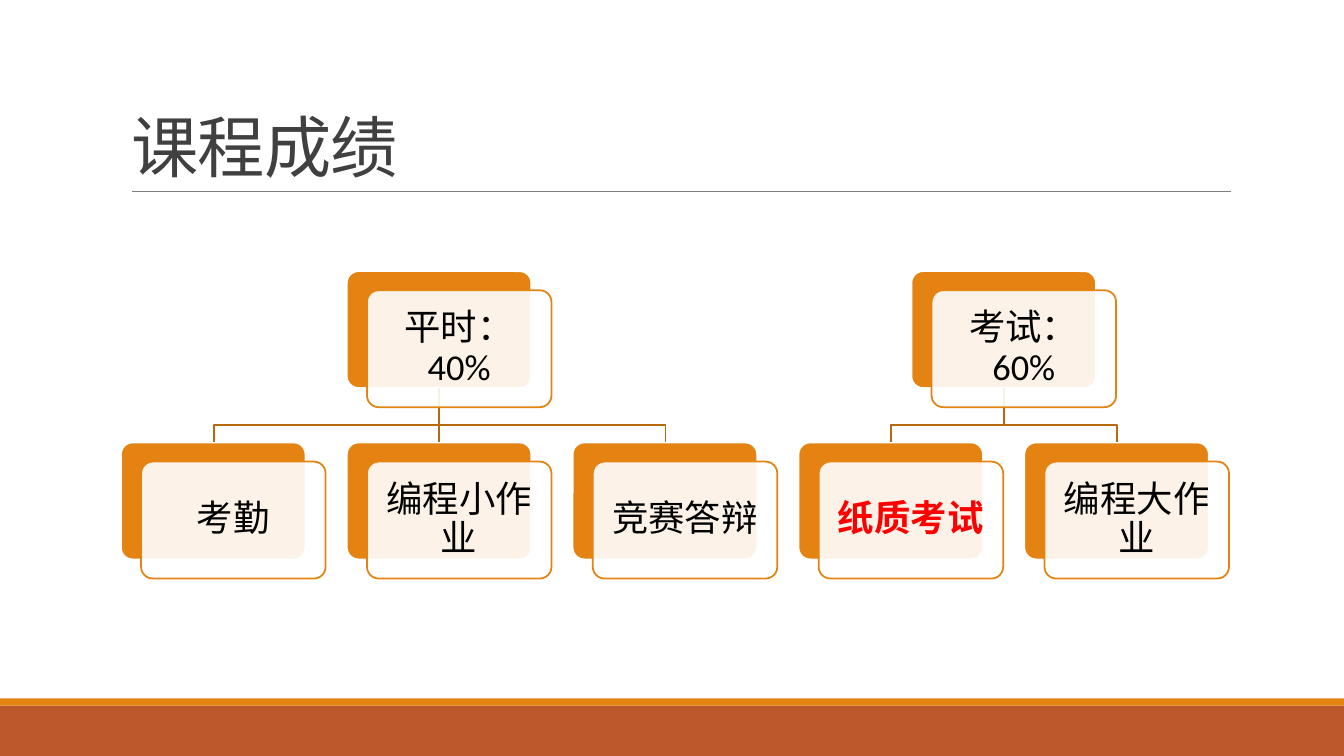
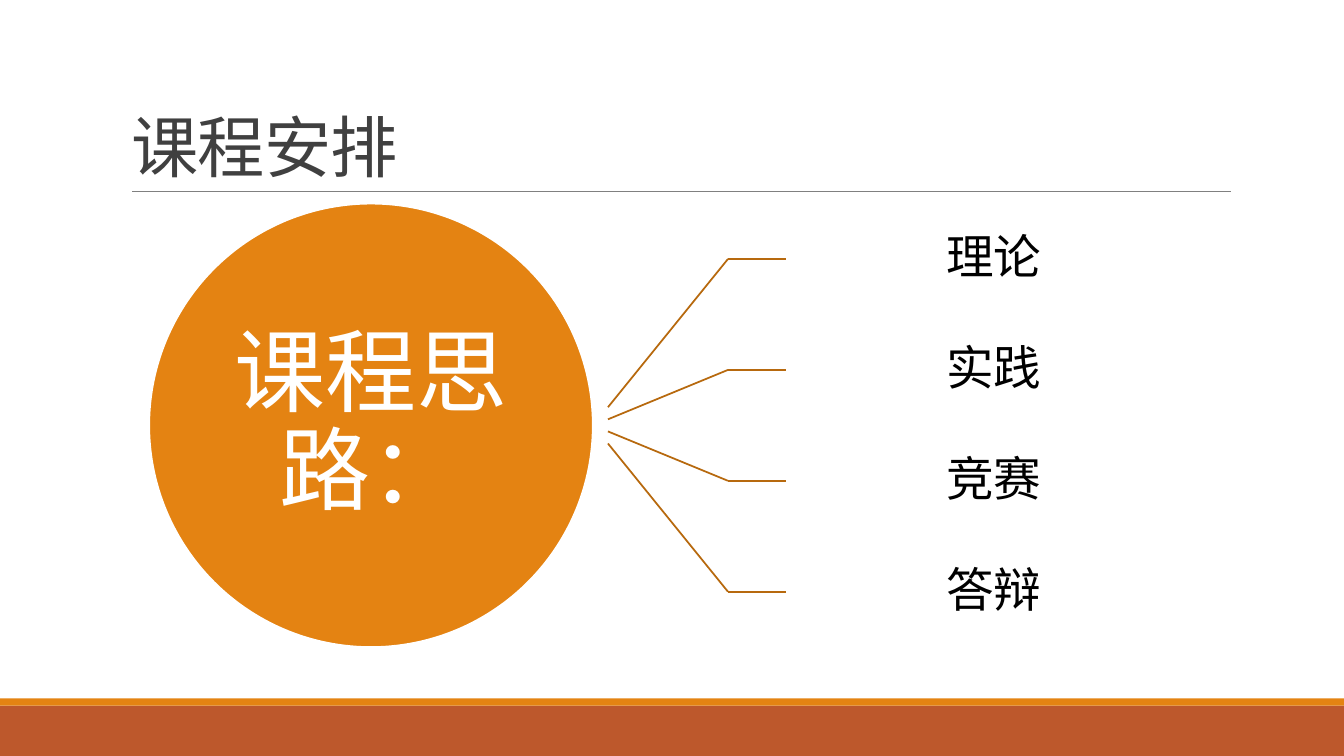
from lxml import etree
from pptx import Presentation
from pptx.dml.color import RGBColor
from pptx.enum.shapes import MSO_CONNECTOR, MSO_SHAPE
from pptx.enum.text import MSO_ANCHOR, MSO_AUTO_SIZE, PP_ALIGN
from pptx.oxml.ns import qn
from pptx.util import Emu, Pt

RECTANGLE, ROUNDED, OVAL = MSO_SHAPE.RECTANGLE, MSO_SHAPE.ROUNDED_RECTANGLE, MSO_SHAPE.OVAL
STRAIGHT = MSO_CONNECTOR.STRAIGHT
LEFT, CENTER = PP_ALIGN.LEFT, PP_ALIGN.CENTER
MIDDLE, BOTTOM = MSO_ANCHOR.MIDDLE, MSO_ANCHOR.BOTTOM
SIDE_TOP, SIDE_LEFT, SIDE_BOTTOM = 0, 1, 2

# Content
GRADES_TITLE = "课程成绩"
GRADES = [
    ("平时：40%", ["考勤", "编程小作业", "竞赛答辩"]),
    ("考试：60%", ["纸质考试", "编程大作业"]),
]
HIGHLIGHTED = "纸质考试"
PLAN_TITLE = "课程安排"
PLAN_HUB = "课程思路："
PLAN_TOPICS = ["理论", "实践", "竞赛", "答辩"]

# Style, lengths in px (100 to the inch)
SCALE = 9144
SLIDE_WIDTH, SLIDE_HEIGHT = 1333, 750
FONT = "Calibri"
ORANGE, RUST, BROWN = "E48312", "BD582C", "B7690E"
WHITE, BLACK, RED, DARK, GRAY = "FFFFFF", "000000", "FF0000", "404040", "808080"
LINE_WIDTH = 1.25

# Grade tree
CARD_WIDTH, CARD_HEIGHT = 183, 116
CARD_SHIFT_X, CARD_SHIFT_Y = 20, 19
TREE_LEFT, COLUMN_STEP = 120, 224
GROUP_TOP, ITEM_TOP, BRANCH_Y = 269, 439, 422

# Topic fan
HUB_LEFT, FAN_TOP, HUB_SIZE = 148, 202, 440
SPOKE_X, SPOKE_TOP, SPOKE_STEP = 603, 404, 12
BEND_X, TOPIC_LEFT, TOPIC_WIDTH = 722, 780, 411


def px(value):
    return Emu(round(value * SCALE))


def color(value):
    return RGBColor.from_string(value)


def set_line(line, line_color, width=LINE_WIDTH):
    line.color.rgb = color(line_color)
    line.width = Pt(width)


def add_box(slide, kind, box, fill, line=None):
    shape = slide.shapes.add_shape(kind, *map(px, box))
    shape.shadow.inherit = False
    shape.fill.solid()
    shape.fill.fore_color.rgb = color(fill)
    if line:
        set_line(shape.line, line)
    else:
        shape.line.fill.background()
    return shape


def add_line(slide, start, end, line_color=BROWN, width=LINE_WIDTH):
    connector = slide.shapes.add_connector(STRAIGHT, *map(px, (*start, *end)))
    set_line(connector.line, line_color, width)
    etree.SubElement(connector.element.spPr, qn("a:effectLst"))
    return connector


def write_text(shape, text, size, text_color, inset=0, align=CENTER,
               anchor=MIDDLE, spacing=0.9, bold=False):
    frame = shape.text_frame
    frame.word_wrap = True
    frame.auto_size = MSO_AUTO_SIZE.NONE
    frame.vertical_anchor = anchor
    frame.margin_left = frame.margin_right = px(inset)
    frame.margin_top = frame.margin_bottom = px(inset)
    paragraph = frame.paragraphs[0]
    paragraph.alignment = align
    paragraph.line_spacing = spacing
    run = paragraph.add_run()
    run.text = text
    run.font.name = FONT
    run.font.size = Pt(size)
    run.font.bold = bold
    run.font.color.rgb = color(text_color)
    return run


def add_titled_slide(presentation, layout, title):
    slide = presentation.slides.add_slide(layout)
    placeholder = slide.shapes.title
    placeholder.left, placeholder.top = px(120), px(31)
    placeholder.width, placeholder.height = px(1100), px(159)
    run = write_text(placeholder, title, 48, DARK, 10, LEFT, BOTTOM, 0.85)
    placeholder.text_frame.margin_bottom = px(5)
    run.font._element.set("spc", "-50")
    return slide


def move_frame_to_layout(slide, layout):
    """Draw the bands and title rule, then hand them to the shared layout."""
    parts = [
        add_box(slide, RECTANGLE, (0, 700, SLIDE_WIDTH, 50), RUST),
        add_box(slide, RECTANGLE, (0, 693, SLIDE_WIDTH, 7), ORANGE),
        add_line(slide, (131, 190), (1221, 190), GRAY, 0.5),
    ]
    for number, part in enumerate(parts):
        part.element.xpath(".//p:cNvPr")[0].set("id", str(100 + number))
        layout.shapes.element.insert(2 + number, part.element)


def add_back_card(slide, left, top):
    card = add_box(slide, ROUNDED, (left, top, CARD_WIDTH, CARD_HEIGHT), ORANGE, WHITE)
    card.adjustments[0] = 0.1
    return card


def add_front_card(slide, left, top, text):
    box = (left + CARD_SHIFT_X, top + CARD_SHIFT_Y, CARD_WIDTH, CARD_HEIGHT)
    card = add_box(slide, ROUNDED, box, WHITE, ORANGE)
    card.adjustments[0] = 0.1
    fill_color = card.element.spPr.find(qn("a:solidFill"))[0]
    etree.SubElement(fill_color, qn("a:alpha"), val="90000")
    marked = text == HIGHLIGHTED
    write_text(card, text, 26, RED if marked else BLACK, 11, bold=marked)


def add_branch(slide, group_left, group_card, item_left, item_card):
    start_x, end_x = group_left + CARD_WIDTH / 2, item_left + CARD_WIDTH / 2
    start_y = GROUP_TOP + CARD_HEIGHT
    if start_x == end_x:
        connector = add_line(slide, (start_x, start_y), (end_x, ITEM_TOP))
        connector.begin_connect(group_card, SIDE_BOTTOM)
        connector.end_connect(item_card, SIDE_TOP)
        return
    builder = slide.shapes.build_freeform(start_x, start_y, SCALE)
    builder.add_line_segments(
        [(start_x, BRANCH_Y), (end_x, BRANCH_Y), (end_x, ITEM_TOP)], close=False)
    elbow = builder.convert_to_shape()
    elbow.shadow.inherit = False
    elbow.fill.background()
    set_line(elbow.line, BROWN)


def add_grade_tree(slide):
    """Stack back cards, then branches, then the translucent front cards."""
    cards, branches, column = [], [], 0
    for group, items in GRADES:
        lefts = [TREE_LEFT + COLUMN_STEP * (column + i) for i in range(len(items))]
        column += len(items)
        group_left = (lefts[0] + lefts[-1]) / 2
        group_card = add_back_card(slide, group_left, GROUP_TOP)
        cards.append((group_left, GROUP_TOP, group))
        for left, item in zip(lefts, items):
            item_card = add_back_card(slide, left, ITEM_TOP)
            cards.append((left, ITEM_TOP, item))
            branches.append((group_left, group_card, left, item_card))
    for branch in branches:
        add_branch(slide, *branch)
    for card in cards:
        add_front_card(slide, *card)


def add_topic_fan(slide):
    hub = add_box(slide, OVAL, (HUB_LEFT, FAN_TOP, HUB_SIZE, HUB_SIZE), ORANGE, WHITE)
    write_text(hub, PLAN_HUB, 65, WHITE)
    row_height = HUB_SIZE / len(PLAN_TOPICS)
    for row, topic in enumerate(PLAN_TOPICS):
        top = FAN_TOP + row * row_height
        bend = (BEND_X, top + row_height / 2)
        label = slide.shapes.add_textbox(
            *map(px, (TOPIC_LEFT, top, TOPIC_WIDTH, row_height)))
        write_text(label, topic, 34, BLACK, 26)
        add_line(slide, (SPOKE_X, SPOKE_TOP + row * SPOKE_STEP), bend)
        arm = add_line(slide, bend, (TOPIC_LEFT, bend[1]))
        arm.end_connect(label, SIDE_LEFT)


def main():
    presentation = Presentation()
    presentation.slide_width = px(SLIDE_WIDTH)
    presentation.slide_height = px(SLIDE_HEIGHT)
    layout = presentation.slide_layouts.get_by_name("Title Only")
    grades_slide = add_titled_slide(presentation, layout, GRADES_TITLE)
    move_frame_to_layout(grades_slide, layout)
    add_grade_tree(grades_slide)
    add_topic_fan(add_titled_slide(presentation, layout, PLAN_TITLE))
    presentation.save("out.pptx")


if __name__ == "__main__":
    main()
